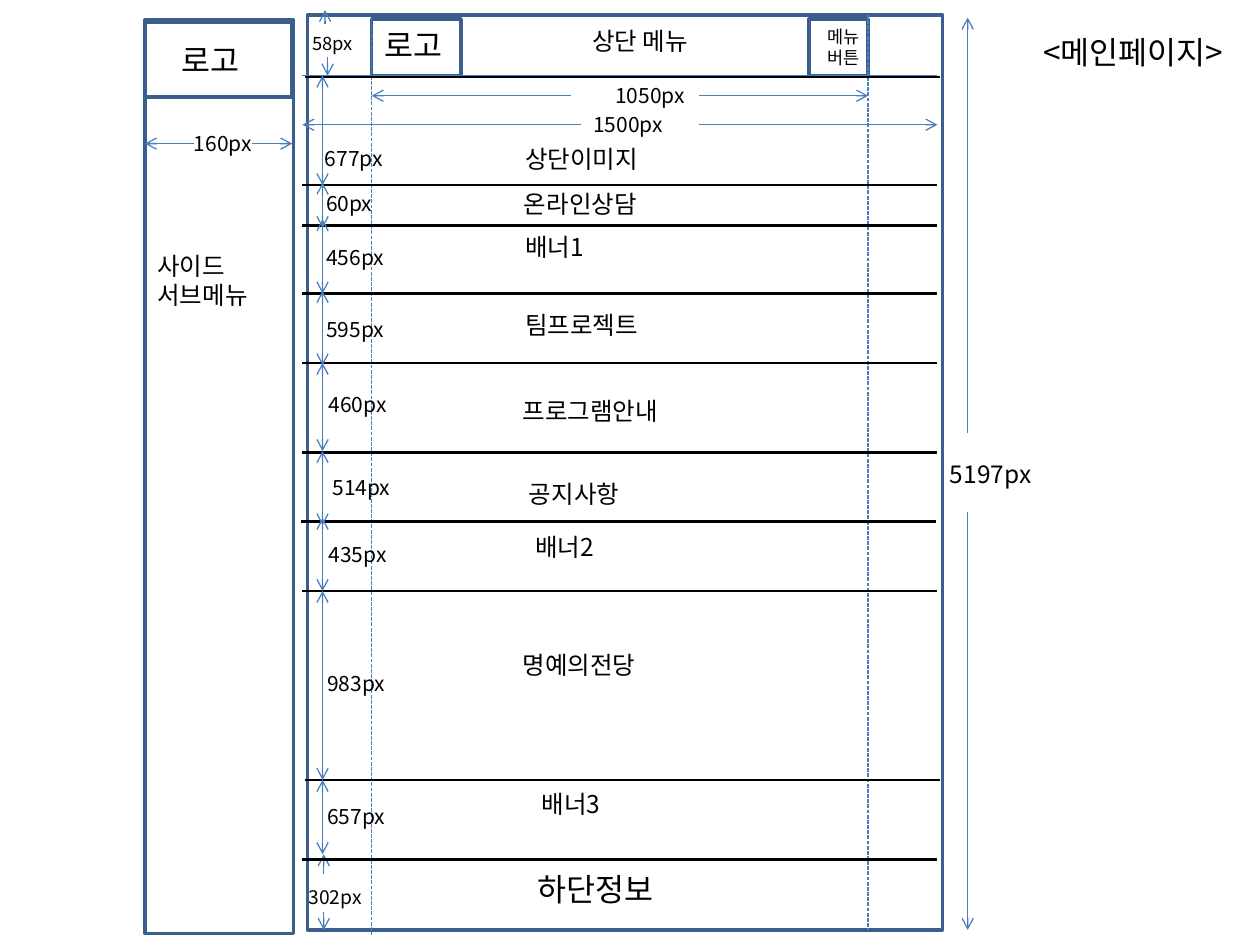
from lxml.etree import SubElement
from pptx import Presentation
from pptx.dml.color import RGBColor
from pptx.enum.dml import MSO_LINE
from pptx.enum.shapes import MSO_CONNECTOR, MSO_SHAPE
from pptx.enum.text import MSO_AUTO_SIZE, PP_ALIGN
from pptx.oxml.ns import qn
from pptx.util import Inches, Pt

COLORS = {"frame": "3A5F8C", "measure": "4B7EBC", "ink": "000000", "paper": "FFFFFF"}
FONT = "Noto Sans CJK KR"


class Wireframe:
    """Style and current slide of the page plan."""

    def __init__(self, slide):
        """Keep the slide to draw on."""
        self.shapes = slide.shapes

    def color(self, name):
        """Return a named colour."""
        return RGBColor.from_string(COLORS[name])

    def frame(self, left, top, width, height, fill=None):
        """Draw an outlined block."""
        block = self.shapes.add_shape(
            MSO_SHAPE.RECTANGLE, *map(Inches, (left, top, width, height)))
        block.shadow.inherit = False
        if fill:
            block.fill.solid()
            block.fill.fore_color.rgb = self.color(fill)
        else:
            block.fill.background()
        block.line.color.rgb = self.color("frame")
        block.line.width = Pt(2)

    def line(self, x1, y1, x2, y2, color="measure", weight=0.75, dashed=False, arrows=()):
        """Draw a straight line with optional arrow ends."""
        rule = self.shapes.add_connector(
            MSO_CONNECTOR.STRAIGHT, *map(Inches, (x1, y1, x2, y2)))
        rule.line.color.rgb = self.color(color)
        rule.line.width = Pt(weight)
        if dashed:
            rule.line.dash_style = MSO_LINE.SQUARE_DOT
        properties = rule._element.spPr
        for end in arrows:
            SubElement(properties.find(qn("a:ln")), qn(f"a:{end}End"), type="arrow")
        SubElement(properties, qn("a:effectLst"))

    def arrow(self, x1, y1, x2, y2):
        """Draw a line pointing at its second end."""
        self.line(x1, y1, x2, y2, arrows=("tail",))

    def span(self, x, top, bottom):
        """Draw a vertical measure with two arrowheads."""
        self.line(x, top, x, bottom, arrows=("head", "tail"))

    def text(self, wording, left, top, width, height=0.34, size=14, centered=False):
        """Write a label, one paragraph per line."""
        label = self.shapes.add_textbox(*map(Inches, (left, top, width, height)))
        frame = label.text_frame
        frame.word_wrap = True
        frame.auto_size = MSO_AUTO_SIZE.SHAPE_TO_FIT_TEXT
        frame.text = wording
        for paragraph in frame.paragraphs:
            paragraph.alignment = PP_ALIGN.CENTER if centered else PP_ALIGN.LEFT
            for run in paragraph.runs:
                run.font.size = Pt(size)
                run.font.name = FONT
                run.font.color.rgb = self.color("ink")
                SubElement(run.font._element, qn("a:ea"), typeface=FONT)


def draw_frames(plan):
    """Draw the page, side menu and header blocks."""
    plan.frame(2.44, 0.12, 5.04, 7.26, "paper")
    plan.frame(1.15, 0.16, 1.18, 7.25, "paper")
    plan.frame(2.95, 0.15, 0.71, 0.45)
    plan.frame(6.42, 0.15, 0.47, 0.45)
    plan.frame(1.15, 0.18, 1.17, 0.59)
    plan.line(2.4, 0.6, 7.44, 0.6)
    plan.line(2.95, 0.15, 2.95, 7.42, dashed=True)
    plan.line(6.89, 0.12, 6.89, 7.38, dashed=True)


def draw_header(plan):
    """Write the title, logos, menus and footer."""
    plan.text("<메인페이지>", 8.18, 0.21, 3.39, 0.4, 18)
    plan.text("로고", 2.95, 0.16, 0.71, 0.4, 18)
    plan.text("로고", 1.34, 0.28, 0.98, 0.4, 18)
    plan.text("메뉴버튼", 6.42, 0.16, 0.55, 0.44, 10, centered=True)
    plan.text("상단 메뉴", 3.74, 0.16, 2.68, centered=True)
    plan.text("사이드\n서브메뉴", 1.15, 1.94, 1.18, 0.57)
    plan.text("하단정보", 4.17, 6.86, 1.81, 0.4, 18)


def draw_outer_measures(plan):
    """Draw the widths, full height, header and footer measures."""
    # y, left tip, left tail, right tail, right tip
    for y, left, inner_left, inner_right, right in (
            (0.76, 2.95, 4.53, 5.55, 6.89),
            (0.99, 2.4, 4.61, 5.55, 7.44),
            (1.14, 1.15, 1.54, 2, 2.32)):
        plan.arrow(inner_left, y, left, y)
        plan.arrow(inner_right, y, right, y)
    plan.text("1050px", 4.53, 0.61, 1.26, 0.3, 12, centered=True)
    plan.text("1500px", 4.61, 0.84, 0.79, 0.3, 12)
    plan.text("160px", 1.44, 0.99, 0.71, 0.3, 12)

    # x, start, tip
    for x, start, tip in ((7.68, 3.44, 0.14), (7.68, 4.06, 7.38),
                          (2.58, 0.19, 0.08), (2.6, 0.45, 0.6),
                          (2.57, 6.94, 6.78), (2.57, 7.24, 7.38)):
        plan.arrow(x, start, x, tip)
    plan.text("5197px", 7.44, 3.59, 1.42)
    plan.text("58px", 2.38, 0.21, 0.55, 0.28, 10.5)
    plan.text("302px", 2.35, 6.98, 0.67, 0.29, 11)


def draw_sections(plan):
    """Draw the dividers, names and heights of the page sections."""
    # name, name left and top, height, height left and top, measure top and bottom
    sections = (
        ("상단이미지", 4.07, 1.09, "677px", 2.48, 1.11, 0.6, 1.47),
        ("온라인상담", 4.06, 1.45, "60px", 2.49, 1.46, 1.45, 1.81),
        ("배너1", 4.07, 1.79, "456px", 2.49, 1.89, 1.74, 2.33),
        ("팀프로젝트", 4.07, 2.41, "595px", 2.49, 2.46, 2.31, 2.9),
        ("프로그램안내", 4.05, 3.09, "460px", 2.51, 3.06, 2.88, 3.58),
        ("공지사항", 4.1, 3.75, "514px", 2.54, 3.72, 3.58, 4.17),
        ("배너2", 4.15, 4.17, "435px", 2.51, 4.25, 4.11, 4.69),
        ("명예의전당", 4.05, 5.11, "983px", 2.5, 5.27, 4.69, 6.19),
        ("배너3", 4.2, 6.21, "657px", 2.5, 6.33, 6.19, 6.78),
    )
    shifted = {0.61: 2.42, 4.14: 2.39, 6.19: 2.42}
    for y in (0.61, 1.47, 1.79, 2.33, 2.88, 3.59, 4.14, 4.69, 6.19, 6.82):
        left = shifted.get(y, 2.4)
        plan.line(left, y, left + 5.04, y, "ink", 1.5)
    for name, name_x, name_y, height, height_x, height_y, top, bottom in sections:
        plan.text(name, name_x, name_y, 1.8)
        plan.span(2.56, top, bottom)
        plan.text(height, height_x, height_y, 0.9, 0.3, 12)


def main():
    """Build and save the page plan."""
    deck = Presentation()
    deck.slide_width, deck.slide_height = Inches(10), Inches(7.5)
    plan = Wireframe(deck.slides.add_slide(deck.slide_layouts[6]))
    draw_frames(plan)
    draw_header(plan)
    draw_outer_measures(plan)
    draw_sections(plan)
    deck.save("out.pptx")


main()
